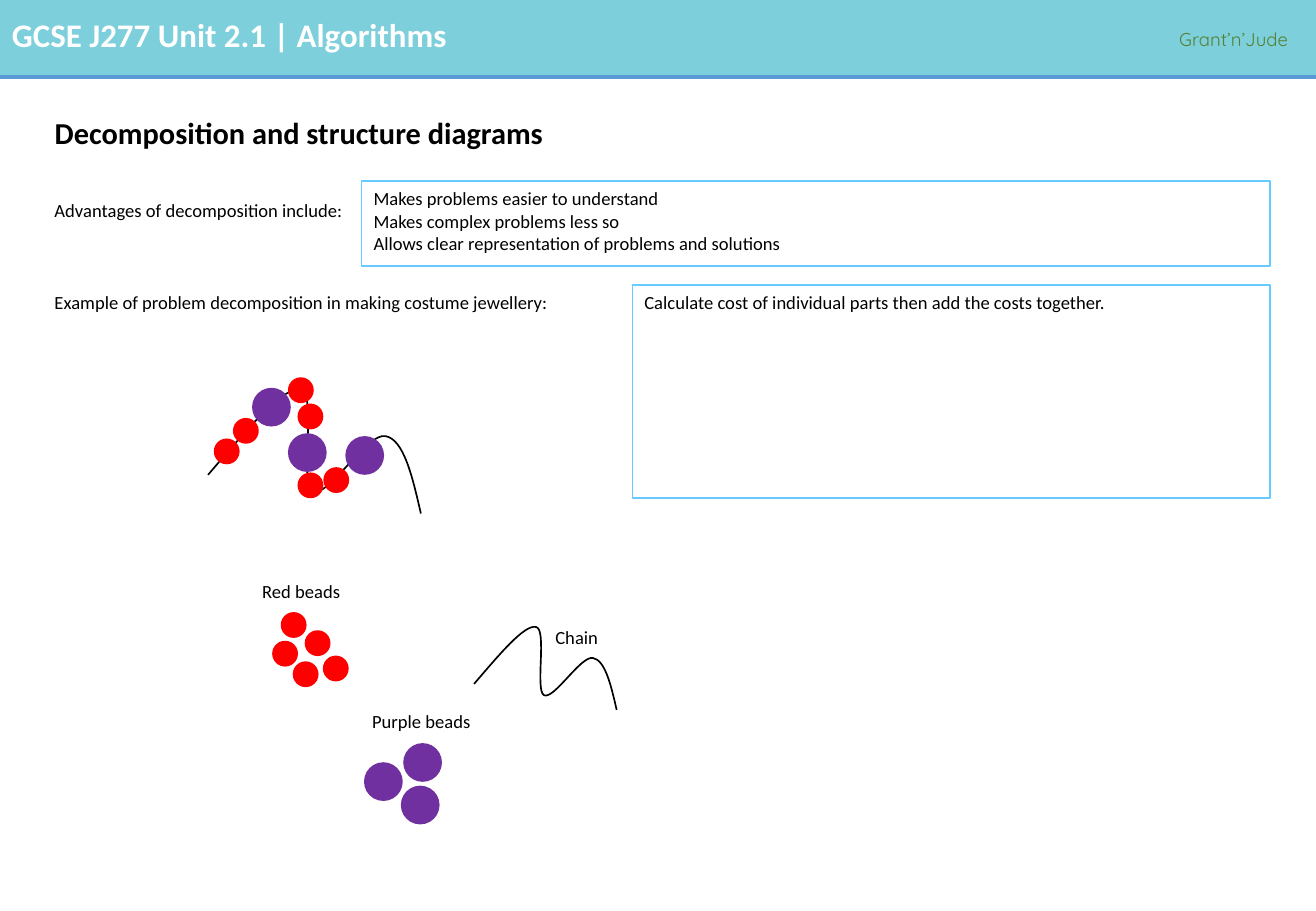
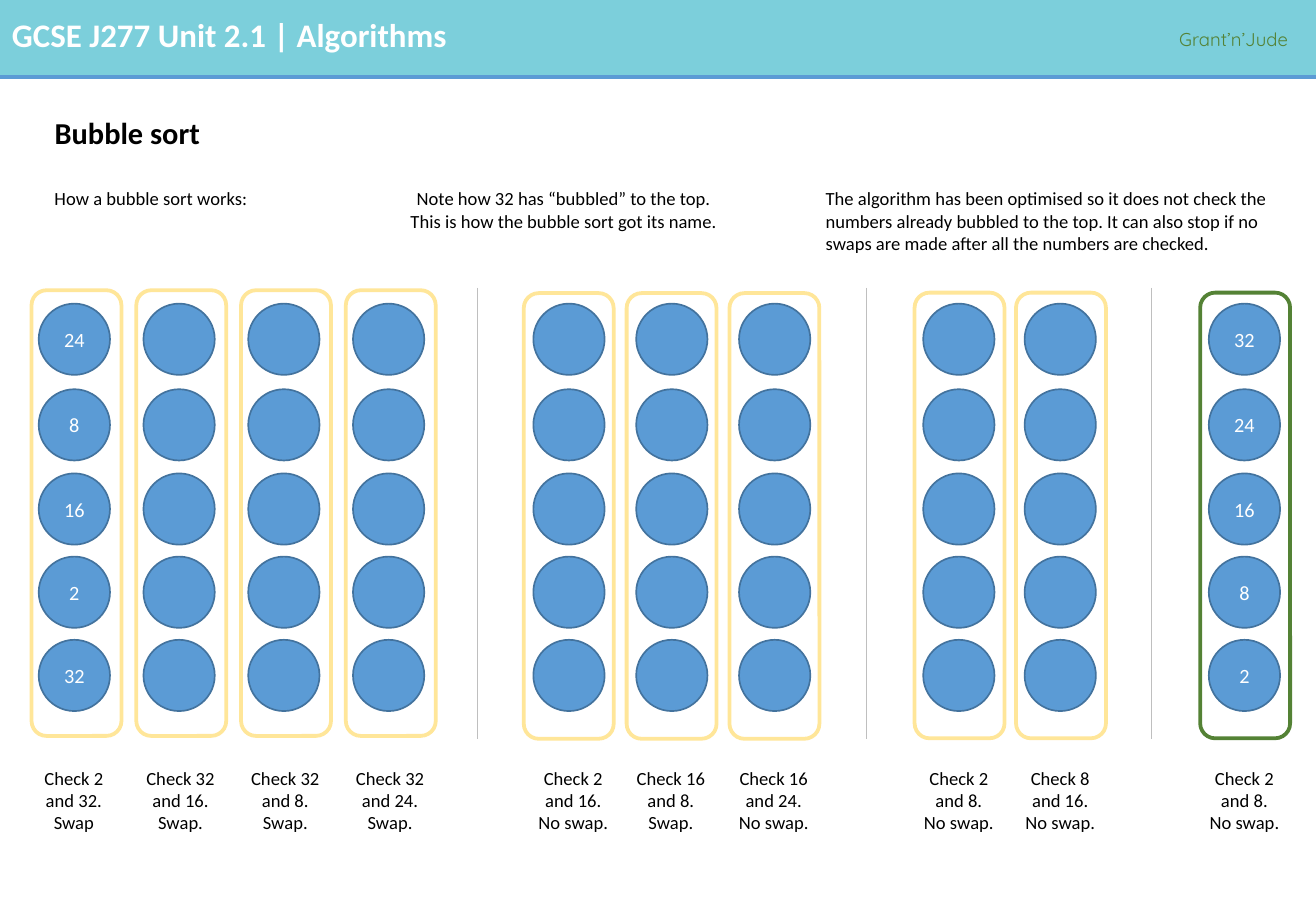
from dataclasses import dataclass
from typing import NamedTuple, Optional

from lxml.etree import SubElement
from pptx import Presentation
from pptx.dml.color import RGBColor
from pptx.enum.shapes import MSO_CONNECTOR, MSO_SHAPE
from pptx.enum.text import MSO_ANCHOR, PP_ALIGN
from pptx.oxml.ns import qn
from pptx.presentation import Presentation as Deck
from pptx.shapes.autoshape import Shape
from pptx.shapes.base import BaseShape
from pptx.shapes.connector import Connector
from pptx.slide import Slide, SlideLayout
from pptx.text.text import TextFrame
from pptx.util import Cm, Pt

PAGE_WIDTH, PAGE_HEIGHT = 27.51, 19.05
BAND_HEIGHT = 1.61
TEAL, BLUE, DARK_BLUE, SKY = "7CCFDB", "5B9BD5", "43739E", "66CCFF"
GREEN, YELLOW, GREY = "548235", "FFE699", "BFBFBF"
RED, PURPLE, BLACK, WHITE = "FF0000", "7030A0", "000000", "FFFFFF"


class Area(NamedTuple):
    left: float
    top: float
    width: float
    height: float


class Point(NamedTuple):
    x: float
    y: float


@dataclass(frozen=True)
class TextStyle:
    size: float = 11
    color: str = BLACK
    bold: bool = False
    font: str = "Calibri"
    align: PP_ALIGN = PP_ALIGN.LEFT
    spacing: Optional[float] = None


@dataclass(frozen=True)
class Bead:
    color: str
    size: float


@dataclass(frozen=True)
class Column:
    caption: tuple[str, str]
    numbers: tuple[str, ...] = ("",) * 5
    caption_inset: float = -0.14


@dataclass(frozen=True)
class Pass:
    left: float
    top: float
    pitch: float
    circle_inset: float
    color: str
    columns: tuple[Column, ...]


BODY = TextStyle()
CENTRED = TextStyle(align=PP_ALIGN.CENTER)
HEADER = TextStyle(19.5, WHITE, True)
BRAND = TextStyle(color=GREEN, font="Quicksand", spacing=1.07)
TITLE = TextStyle(18, bold=True, spacing=0.9)
NUMBER = TextStyle(12, WHITE, align=PP_ALIGN.CENTER)

RED_BEAD = Bead(RED, 0.54)
PURPLE_BEAD = Bead(PURPLE, 0.81)
NECKLACE = (
    (RED_BEAD, Point(4.47, 9.17)), (RED_BEAD, Point(4.87, 8.74)),
    (PURPLE_BEAD, Point(5.27, 8.11)), (RED_BEAD, Point(6.02, 7.89)),
    (RED_BEAD, Point(6.22, 8.44)), (PURPLE_BEAD, Point(6.02, 9.06)),
    (RED_BEAD, Point(6.22, 9.88)), (RED_BEAD, Point(6.76, 9.77)),
    (PURPLE_BEAD, Point(7.22, 9.12)),
)
LOOSE_BEADS = (
    (RED_BEAD, Point(5.69, 13.4)), (RED_BEAD, Point(6.12, 13.83)),
    (RED_BEAD, Point(6.37, 13.18)), (RED_BEAD, Point(5.87, 12.8)),
    (RED_BEAD, Point(6.75, 13.71)),
    (PURPLE_BEAD, Point(7.61, 15.94)), (PURPLE_BEAD, Point(8.43, 15.54)),
    (PURPLE_BEAD, Point(8.38, 16.43)),
)
CHAIN_START = Point(0, 1.78)
CHAIN_CURVES = (
    (Point(0.79, 0.86), Point(1.57, -0.08), Point(1.93, 0)),
    (Point(2.29, 0.05), Point(1.9, 1.96), Point(2.18, 2.13)),
    (Point(2.49, 2.29), Point(3.33, 0.89), Point(3.71, 0.97)),
    (Point(4.09, 1.04), Point(4.27, 1.8), Point(4.45, 2.59)),
)

CIRCLE_TOPS = (6.35, 8.14, 9.9, 11.64, 13.38)
PASSES = (
    Pass(0.66, 6.07, 2.19, 0.15, YELLOW, (
        Column(("Check 2 and 32.", "Swap"), ("24", "8", "16", "2", "32"), -0.18),
        Column(("Check 32 and 16.", "Swap.")),
        Column(("Check 32 and 8.", "Swap.")),
        Column(("Check 32 and 24.", "Swap.")),
    )),
    Pass(10.95, 6.13, 2.15, 0.2, YELLOW, (
        Column(("Check 2 and 16.", "No swap."), caption_inset=-0.03),
        Column(("Check 16 and 8.", "Swap.")),
        Column(("Check 16 and 24.", "No swap.")),
    )),
    Pass(19.12, 6.12, 2.12, 0.18, YELLOW, (
        Column(("Check 2 and 8.", "No swap.")),
        Column(("Check 8 and 16.", "No swap.")),
    )),
    Pass(25.09, 6.12, 0, 0.18, GREEN, (
        Column(("Check 2 and 8.", "No swap."), ("32", "24", "16", "8", "2")),
    )),
)


def rgb(color: str) -> RGBColor:
    return RGBColor.from_string(color)


def place(shape: BaseShape, area: Area) -> None:
    shape.left, shape.top, shape.width, shape.height = map(Cm, area)


def write(frame: TextFrame, lines: tuple[str, ...], style: TextStyle) -> None:
    for index, line in enumerate(lines):
        para = frame.add_paragraph() if index else frame.paragraphs[0]
        para.text = line
        para.alignment = style.align
        if style.spacing:
            para.line_spacing = style.spacing
        para.font.name = style.font
        para.font.size = Pt(style.size)
        para.font.bold = style.bold
        para.font.color.rgb = rgb(style.color)


def add_text(page: Slide, area: Area, *lines: str, style: TextStyle = BODY,
             wrap: bool = True) -> Shape:
    box = page.shapes.add_textbox(*map(Cm, area))
    box.text_frame.word_wrap = wrap
    write(box.text_frame, lines, style)
    return box


def paint(shape: Shape, fill: Optional[str], line: Optional[str], width: float) -> None:
    shape.shadow.inherit = False
    if fill:
        shape.fill.solid()
        shape.fill.fore_color.rgb = rgb(fill)
    else:
        shape.fill.background()
    if line:
        shape.line.color.rgb = rgb(line)
        shape.line.width = Pt(width)
    else:
        shape.line.fill.background()


def add_shape(page: Slide, kind: MSO_SHAPE, area: Area, fill: Optional[str] = None,
              line: Optional[str] = None, width: float = 1) -> Shape:
    shape = page.shapes.add_shape(kind, *map(Cm, area))
    paint(shape, fill, line, width)
    return shape


def add_line(page: Slide, start: Point, end: Point, color: str, width: float) -> Connector:
    line = page.shapes.add_connector(MSO_CONNECTOR.STRAIGHT, *map(Cm, start + end))
    line.line.color.rgb = rgb(color)
    line.line.width = Pt(width)
    SubElement(line.element.spPr, qn("a:effectLst"))
    return line


def add_answer(page: Slide, area: Area, *lines: str) -> None:
    box = add_shape(page, MSO_SHAPE.RECTANGLE, area, line=SKY)
    box.text_frame.vertical_anchor = MSO_ANCHOR.TOP
    write(box.text_frame, lines, BODY)


def add_page(deck: Deck, layout: SlideLayout, title: str) -> Slide:
    page = deck.slides.add_slide(layout)
    place(page.shapes.title, Area(0.89, 2.11, 25.65, 1.42))
    frame = page.shapes.title.text_frame
    frame.vertical_anchor = MSO_ANCHOR.MIDDLE
    write(frame, (title,), TITLE)
    return page


def move_header_to_layout(page: Slide, layout: SlideLayout) -> None:
    parts = (
        add_shape(page, MSO_SHAPE.RECTANGLE, Area(0, 0, PAGE_WIDTH, BAND_HEIGHT), TEAL),
        add_line(page, Point(0, BAND_HEIGHT), Point(PAGE_WIDTH, BAND_HEIGHT), BLUE, 2.25),
        add_text(page, Area(0, 0.18, 24.08, 1.09), "GCSE J277 Unit 2.1 | Algorithms",
                 style=HEADER),
        add_text(page, Area(24.4, 0.43, 3.1, 0.74), "Grant’n’Jude", style=BRAND, wrap=False),
    )
    for part in parts:
        layout.shapes.element.append(part.element)


def add_chain(page: Slide, origin: Point, scale: float) -> None:
    knots = [CHAIN_START] + [curve[-1] for curve in CHAIN_CURVES]
    spots = [(Cm(origin.x + scale * knot.x), Cm(origin.y + scale * knot.y)) for knot in knots]
    builder = page.shapes.build_freeform(*spots[0])
    builder.add_line_segments(spots[1:], close=False)
    chain = builder.convert_to_shape()
    paint(chain, None, BLACK, 1)
    segments = list(chain.element.iter(qn("a:lnTo")))
    for segment, curve in zip(segments, CHAIN_CURVES):
        bend = SubElement(segment.getparent(), qn("a:cubicBezTo"))
        for point in curve:
            SubElement(bend, qn("a:pt"), x=str(Cm(scale * point.x)), y=str(Cm(scale * point.y)))
        segment.getparent().replace(segment, bend)


def add_beads(page: Slide, beads: tuple[tuple[Bead, Point], ...]) -> None:
    for bead, spot in beads:
        add_shape(page, MSO_SHAPE.OVAL, Area(*spot, bead.size, bead.size), bead.color)


def fill_decomposition(page: Slide) -> None:
    add_text(page, Area(0.89, 4.04, 6.68, 0.74), "Advantages of decomposition include:")
    add_answer(page, Area(7.56, 3.79, 18.99, 1.78),
               "Makes problems easier to understand",
               "Makes complex problems less so",
               "Allows clear representation of problems and solutions")
    add_text(page, Area(0.89, 5.97, 10.97, 0.74),
             "Example of problem decomposition in making costume jewellery:")
    add_answer(page, Area(13.22, 5.96, 13.33, 4.46),
               "Calculate cost of individual parts then add the costs together.")
    add_chain(page, Point(4.35, 8.15), 1)
    add_beads(page, NECKLACE)
    add_beads(page, LOOSE_BEADS)
    add_chain(page, Point(9.91, 13.11), 0.67)
    add_text(page, Area(5.23, 12.01, 2.2, 0.74), "Red beads")
    add_text(page, Area(7.53, 14.72, 2.72, 0.74), "Purple beads")
    add_text(page, Area(11.36, 12.97, 2.72, 0.74), "Chain")


def add_column(page: Slide, left: float, sort_pass: Pass, column: Column) -> None:
    for top, number in zip(CIRCLE_TOPS, column.numbers):
        circle = add_shape(page, MSO_SHAPE.OVAL,
                           Area(left + sort_pass.circle_inset, top, 1.49, 1.49),
                           BLUE, DARK_BLUE)
        if number:
            circle.text_frame.vertical_anchor = MSO_ANCHOR.MIDDLE
            write(circle.text_frame, (number,), NUMBER)
    add_shape(page, MSO_SHAPE.ROUNDED_RECTANGLE, Area(left, sort_pass.top, 1.88, 9.32),
              line=sort_pass.color, width=2.25)
    add_text(page, Area(left + column.caption_inset, 15.91, 2.13, 1.68),
             *column.caption, style=CENTRED)


def fill_bubble_sort(page: Slide) -> None:
    add_text(page, Area(0.89, 3.79, 5.28, 0.74), "How a bubble sort works:")
    add_text(page, Area(8.32, 3.79, 6.93, 1.19), "Note how 32 has “bubbled” to the top.",
             "This is how the bubble sort got its name.", style=CENTRED, wrap=False)
    add_text(page, Area(17.01, 3.79, 10.01, 1.68),
             "The algorithm has been optimised so it does not check the numbers already "
             "bubbled to the top. It can also stop if no swaps are made after all the "
             "numbers are checked.")
    for sort_pass in PASSES:
        for index, column in enumerate(sort_pass.columns):
            add_column(page, sort_pass.left + index * sort_pass.pitch, sort_pass, column)
    for x in (9.98, 18.11, 24.08):
        add_line(page, Point(x, 6.02), Point(x, 15.46), GREY, 0.5)


def main() -> None:
    deck = Presentation()
    deck.slide_width, deck.slide_height = Cm(PAGE_WIDTH), Cm(PAGE_HEIGHT)
    layout = deck.slide_layouts.get_by_name("Title Only")
    for holder in list(layout.placeholders)[1:]:
        layout.shapes.element.remove(holder.element)
    decomposition = add_page(deck, layout, "Decomposition and structure diagrams")
    move_header_to_layout(decomposition, layout)
    fill_decomposition(decomposition)
    fill_bubble_sort(add_page(deck, layout, "Bubble sort"))
    deck.save("out.pptx")


if __name__ == "__main__":
    main()
